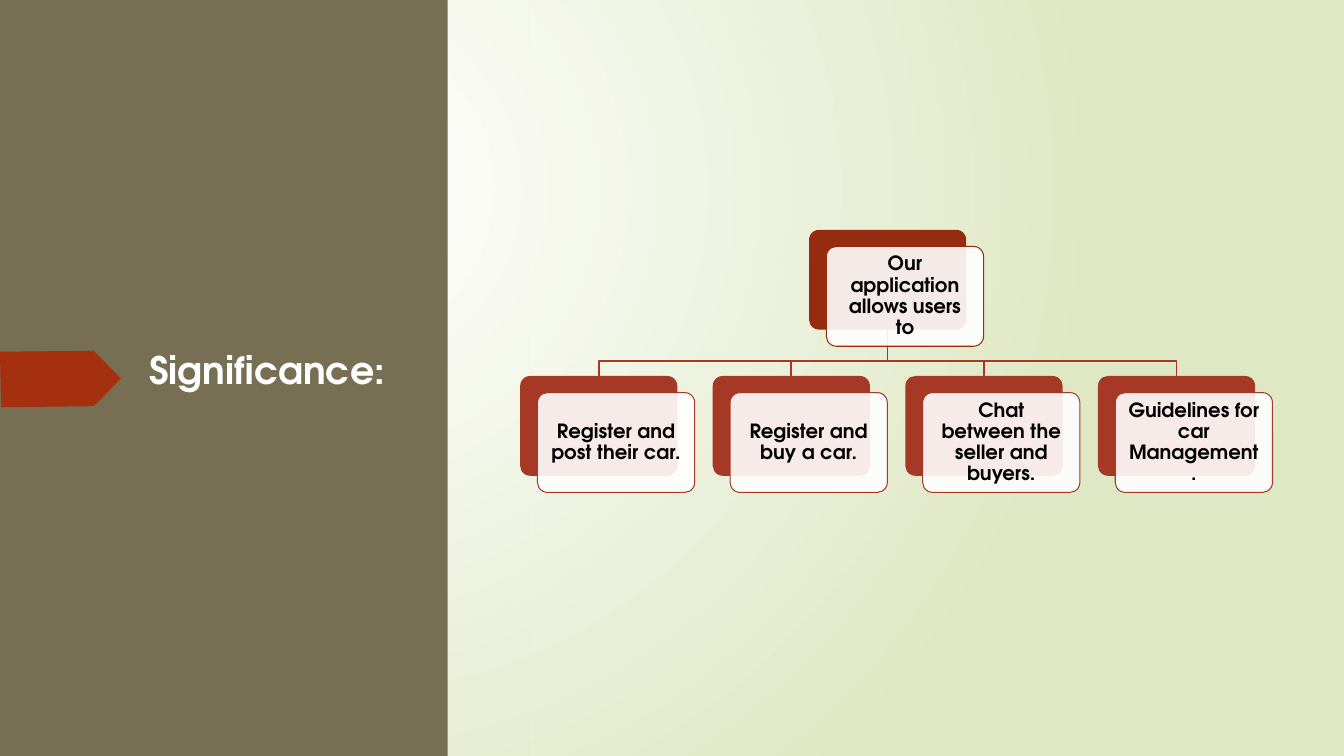
import pptx
import pptx.dml.color
import pptx.enum.shapes
import pptx.enum.text
import pptx.oxml
import pptx.oxml.ns
import pptx.util

SHAPES = pptx.enum.shapes.MSO_SHAPE
ANCHOR = pptx.enum.text.MSO_ANCHOR
ALIGN = pptx.enum.text.PP_ALIGN
qn = pptx.oxml.ns.qn

FONT = "TeX Gyre Adventor"
OLIVE, RUST, DARK_RUST, BRICK = "766F54", "A53010", "962C0F", "A63925"
WHITE, BLACK, PALE_GREEN = "FFFFFF", "000000", "DFE8C4"

# Chart grid, in percent of the slide's width and height
GRID_LEFT, GRID_TOP = 38.7, 30.4
COLUMN_STEP, ROW_STEP = 14.33, 19.33
CARD_WIDTH, CARD_HEIGHT = 11.7, 13.2
CARD_SHIFT_X, CARD_SHIFT_Y = 1.29, 2.2
BRANCH_Y = 47.73

ROOT = "Our application allows users to"
FEATURES = [
    "Register and post their car.",
    "Register and buy a car.",
    "Chat between the seller and buyers.",
    "Guidelines for car Management.",
]


def color(hex_value):
    return pptx.dml.color.RGBColor.from_string(hex_value)


def assign(target, values):
    for name, value in values.items():
        setattr(target, name, value)


class SlideBuilder:
    """Draws on one slide; positions and sizes are percents of its size."""

    def __init__(self, presentation):
        self.width = presentation.slide_width
        self.height = presentation.slide_height
        self.slide = presentation.slides.add_slide(presentation.slide_layouts[6])
        self.shapes = self.slide.shapes

    def point(self, x, y):
        return round(x * self.width / 100), round(y * self.height / 100)

    def background(self, inner, outer):
        """Fill the background with a round gradient."""
        fill = self.slide.background.fill
        fill.gradient()
        for stop, hex_value in zip(fill.gradient_stops, (inner, outer)):
            stop.color.rgb = color(hex_value)
        gradient = self.slide._element.find(".//" + qn("a:gradFill"))
        gradient.replace(gradient.find(qn("a:lin")), pptx.oxml.parse_xml(
            f'<a:path {pptx.oxml.ns.nsdecls("a")} path="circle">'
            '<a:fillToRect l="50000" t="50000" r="100000" b="100000"/></a:path>'))

    def paint(self, shape, fill=None, line=None, weight=0.75, opacity=100):
        shape.shadow.inherit = False
        if fill:
            shape.fill.solid()
            shape.fill.fore_color.rgb = color(fill)
            if opacity < 100:
                tint = shape._element.spPr.find(".//" + qn("a:srgbClr"))
                alpha = tint.makeelement(qn("a:alpha"), {"val": str(opacity * 1000)})
                tint.append(alpha)
        else:
            shape.fill.background()
        if line:
            shape.line.color.rgb = color(line)
            shape.line.width = pptx.util.Pt(weight)
        else:
            shape.line.fill.background()

    def box(self, x, y, width, height, kind=SHAPES.RECTANGLE, **look):
        shape = self.shapes.add_shape(
            kind, *self.point(x, y), *self.point(width, height))
        if kind == SHAPES.ROUNDED_RECTANGLE:
            shape.adjustments[0] = 0.1
        self.paint(shape, **look)
        return shape

    def backdrop(self, x, y, width, height):
        """Add a panel that shows the slide background."""
        panel = self.shapes.add_shape(
            SHAPES.RECTANGLE, *self.point(x, y), *self.point(width, height))
        panel.shadow.inherit = False
        panel.line.fill.background()
        panel._element.set("useBgFill", "1")

    def outline(self, points, close=False, **look):
        start, *others = [self.point(x, y) for x, y in points]
        builder = self.shapes.build_freeform(*start)
        builder.add_line_segments(others, close=close)
        self.paint(builder.convert_to_shape(), **look)

    def label(self, shape, text, size, hex_value, frame, paragraph):
        assign(shape.text_frame, {"word_wrap": True, **frame})
        line = shape.text_frame.paragraphs[0]
        assign(line, paragraph)
        run = line.add_run()
        run.text = text
        assign(run.font, {"name": FONT, "size": pptx.util.Pt(size), "bold": True})
        run.font.color.rgb = color(hex_value)

    def title(self, text, x, y, width, height):
        holder = self.shapes.add_textbox(
            *self.point(x, y), *self.point(width, height))
        self.label(holder, text, 27, WHITE,
                   {"vertical_anchor": ANCHOR.TOP}, {"alignment": ALIGN.LEFT})

    def card(self, text, column, row, accent):
        """Add a white card over an accent block at a chart grid cell."""
        x = GRID_LEFT + column * COLUMN_STEP
        y = GRID_TOP + row * ROW_STEP
        size = CARD_WIDTH, CARD_HEIGHT
        rounded = SHAPES.ROUNDED_RECTANGLE
        self.box(x, y, *size, kind=rounded, fill=accent)
        front = self.box(x + CARD_SHIFT_X, y + CARD_SHIFT_Y, *size, kind=rounded,
                         fill=WHITE, line=accent, opacity=90)
        inset = pptx.util.Inches(0.09)
        frame = {f"margin_{side}": inset for side in ("left", "top", "right", "bottom")}
        self.label(front, text, 14, BLACK,
                   {"vertical_anchor": ANCHOR.MIDDLE, **frame},
                   {"alignment": ALIGN.CENTER, "line_spacing": 0.9})

    def branch(self, parent, child):
        """Join the parent column's card to a child column's card."""
        start, end = (GRID_LEFT + column * COLUMN_STEP + CARD_WIDTH / 2
                      for column in (parent, child))
        self.outline([(start, GRID_TOP + CARD_HEIGHT), (start, BRANCH_Y),
                      (end, BRANCH_Y), (end, GRID_TOP + ROW_STEP)],
                     line=BRICK, weight=1.25)


def main():
    presentation = pptx.Presentation()
    presentation.slide_width = pptx.util.Inches(13.33)
    presentation.slide_height = pptx.util.Inches(7.5)

    page = SlideBuilder(presentation)
    page.background(WHITE, PALE_GREEN)
    page.backdrop(39.31, 0, 60.69, 100)
    page.box(0, 0, 33.31, 100, fill=OLIVE)
    page.outline([(0, 46.53), (6.98, 46.4), (9, 50.07), (6.98, 53.73), (0.08, 53.87)],
                 close=True, fill=RUST)
    page.title("Significance:", 10.35, 45.2, 20.1, 44.13)

    root_column = (len(FEATURES) - 1) / 2
    for column in reversed(range(len(FEATURES))):
        page.branch(root_column, column)
    page.card(ROOT, root_column, 0, DARK_RUST)
    for column, feature in enumerate(FEATURES):
        page.card(feature, column, 1, BRICK)

    presentation.save("out.pptx")


if __name__ == "__main__":
    main()
